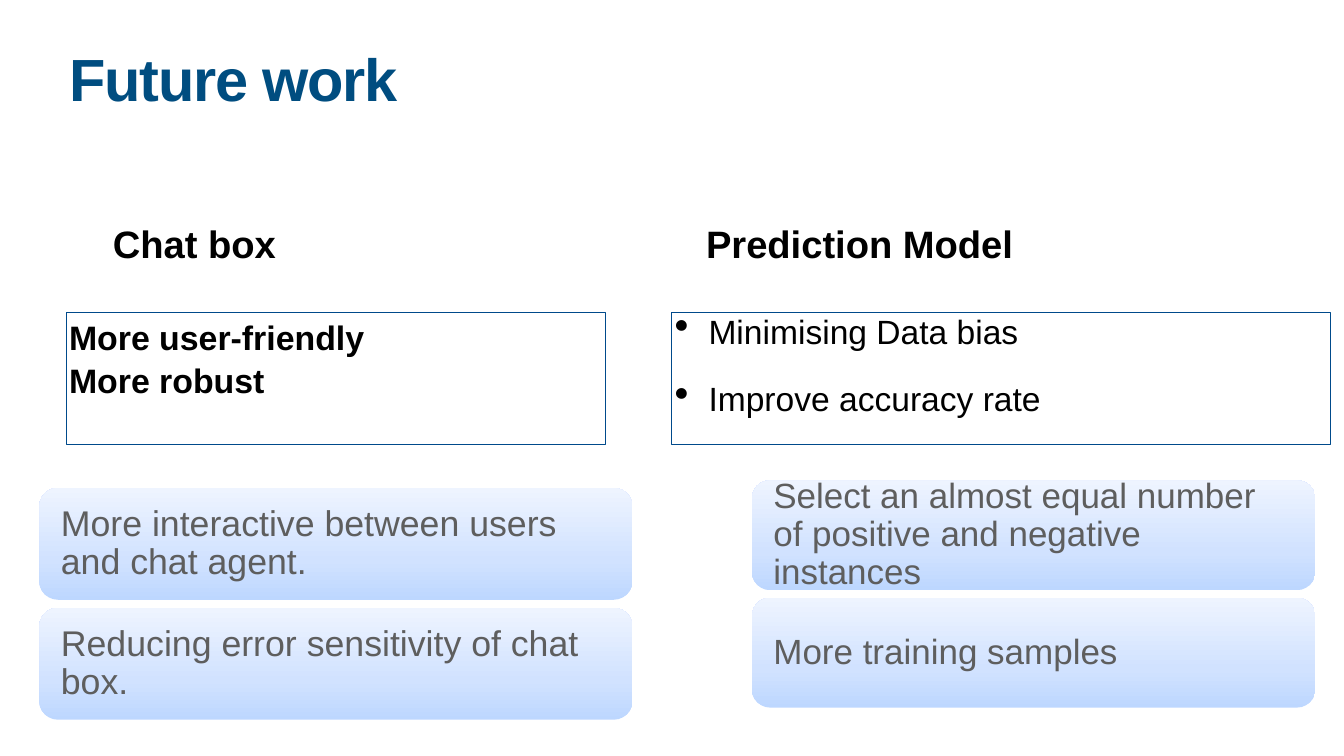
from copy import deepcopy

from lxml.etree import SubElement
from pptx import Presentation
from pptx.dml.color import RGBColor
from pptx.enum.shapes import MSO_SHAPE
from pptx.enum.text import MSO_ANCHOR, PP_ALIGN
from pptx.oxml.ns import qn
from pptx.util import Emu, Pt

SCALE = 9144
COLORS = {"title": "004D80", "text": "000000", "border": "004A8B", "card_text": "5E5E5E"}
CARD_GRADIENT = [(0, "BDD7FF"), (0.35, "D1E2FF"), (1, "EEF4FF")]
TITLE = "Future work"
COLUMNS = [
    {
        "heading": "Chat box", "heading_left": 219,
        "points": ["More user-friendly", "More robust"],
        "points_left": 132, "points_width": 1069,
        "points_format": {"size": 48.4, "bold": True, "line_spacing": 1.05, "inset": 5},
        "cards": ["More interactive between users and chat agent.",
                  "Reducing error sensitivity of chat box."],
        "card_box": (78, 968, 1177, 222), "card_gap": 16, "card_size": 51,
    },
    {
        "heading": "Prediction Model", "heading_left": 1396,
        "points": ["Minimising Data bias", "Improve accuracy rate"],
        "points_left": 1333, "points_width": 1307,
        "points_format": {"size": 48, "line_spacing": 0.9, "inset": 6,
                          "space_before": 45, "bullet_indent": 67},
        "cards": ["Select an almost equal number of positive and negative instances",
                  "More training samples"],
        "card_box": (1492, 953, 1118, 218), "card_gap": 15, "card_size": 50,
    },
]


def px(value):
    return Emu(value * SCALE)


def color(name):
    return RGBColor.from_string(COLORS[name])


def add_bullet(paragraph, indent):
    properties = paragraph._p.get_or_add_pPr()
    properties.set("marL", str(px(indent)))
    properties.set("indent", str(-px(indent)))
    SubElement(properties, qn("a:buSzPct"), val="123000")
    SubElement(properties, qn("a:buChar"), char="•")


def write(shape, lines, *, size, color_name="text", bold=False, inset=5, line_spacing=1,
          space_before=0, bullet_indent=0, anchor=MSO_ANCHOR.TOP, spacing=0):
    frame = shape.text_frame
    frame.word_wrap = True
    frame.vertical_anchor = anchor
    frame.margin_left = frame.margin_right = px(inset)
    frame.margin_top = frame.margin_bottom = px(inset)
    for index, line in enumerate(lines):
        paragraph = frame.add_paragraph() if index else frame.paragraphs[0]
        paragraph.alignment = PP_ALIGN.LEFT
        paragraph.line_spacing = line_spacing
        paragraph.space_before = Pt(space_before if index else 0)
        if bullet_indent:
            add_bullet(paragraph, bullet_indent)
        run = paragraph.add_run()
        run.text = line
        run.font.name = "Arial"
        run.font.size = Pt(size)
        run.font.bold = bold
        run.font.color.rgb = color(color_name)
        if spacing:
            run._r.get_or_add_rPr().set("spc", str(spacing))


def add_text(slide, box, lines, **text_format):
    shape = slide.shapes.add_textbox(*map(px, box))
    write(shape, lines, **text_format)
    return shape


def add_card(slide, box, text, size):
    shape = slide.shapes.add_shape(MSO_SHAPE.ROUNDED_RECTANGLE, *map(px, box))
    shape.shadow.inherit = False
    shape.line.fill.background()
    shape.fill.gradient()
    shape.fill.gradient_angle = 90
    stop_list = shape._element.spPr.find(".//" + qn("a:gsLst"))
    stop_list.append(deepcopy(stop_list[0]))
    for stop, (position, shade) in zip(shape.fill.gradient_stops, CARD_GRADIENT):
        stop.position = position
        stop.color.rgb = RGBColor.from_string(shade)
    write(shape, [text], size=size, color_name="card_text", inset=32,
          line_spacing=0.9, anchor=MSO_ANCHOR.MIDDLE)


def add_column(slide, column):
    add_text(slide, (column["heading_left"], 433, 835, 102), [column["heading"]],
             size=54.5, bold=True)
    points = add_text(slide, (column["points_left"], 619, column["points_width"], 262),
                      column["points"], **column["points_format"])
    points.line.color.rgb = color("border")
    points.line.width = Pt(1)
    left, top, width, height = column["card_box"]
    for index, text in enumerate(column["cards"]):
        card_top = top + index * (height + column["card_gap"])
        add_card(slide, (left, card_top, width, height), text, column["card_size"])


def main():
    presentation = Presentation()
    presentation.slide_width = px(2667)
    presentation.slide_height = px(1500)
    slide = presentation.slides.add_slide(presentation.slide_layouts[6])
    add_text(slide, (132, 104, 2403, 157), [TITLE], size=85, color_name="title",
             bold=True, inset=6, line_spacing=0.8, spacing=-170)
    for column in COLUMNS:
        add_column(slide, column)
    presentation.save("out.pptx")


if __name__ == "__main__":
    main()
